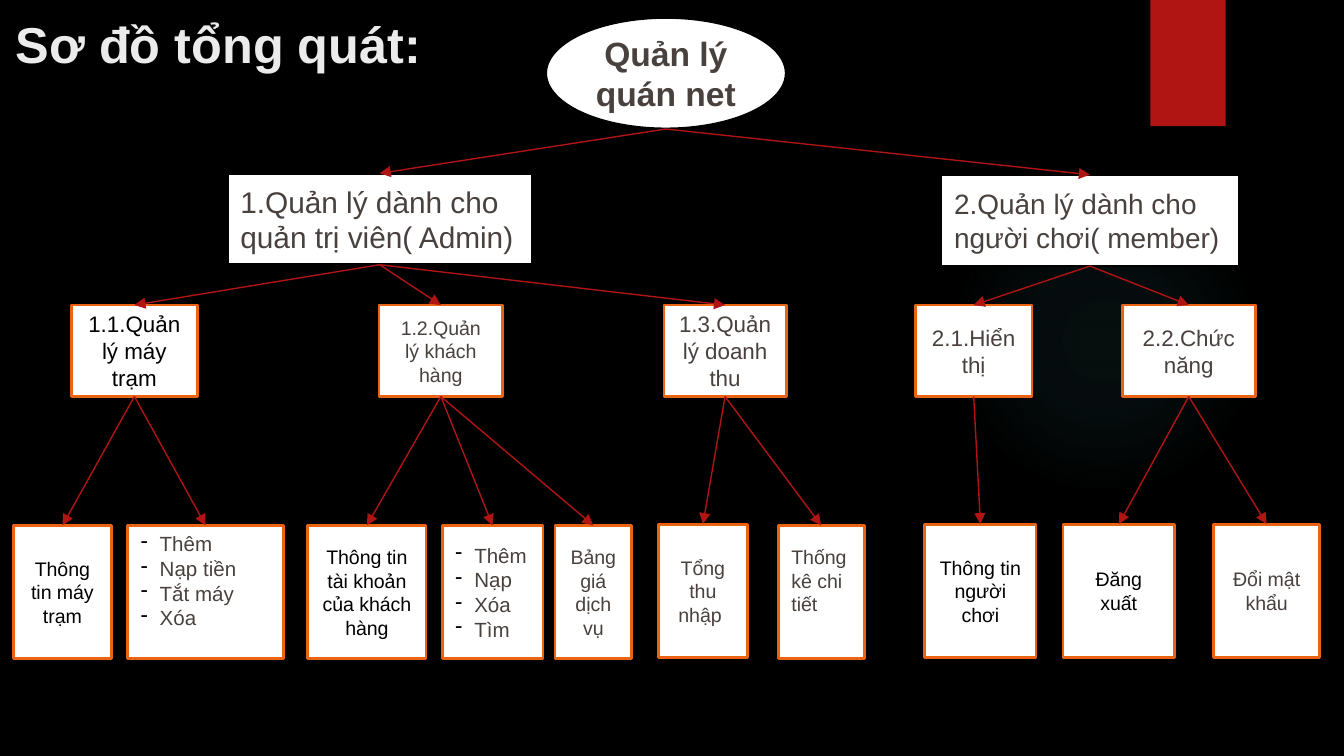
from dataclasses import dataclass

from lxml import etree
from pptx import Presentation
from pptx.dml.color import RGBColor
from pptx.enum.shapes import MSO_CONNECTOR, MSO_SHAPE
from pptx.enum.text import MSO_ANCHOR, PP_ALIGN
from pptx.oxml import parse_xml
from pptx.oxml.ns import nsdecls, qn
from pptx.util import Inches, Pt

RECT, OVAL = MSO_SHAPE.RECTANGLE, MSO_SHAPE.OVAL
STRAIGHT = MSO_CONNECTOR.STRAIGHT
LEFT, CENTER = PP_ALIGN.LEFT, PP_ALIGN.CENTER
MIDDLE = MSO_ANCHOR.MIDDLE

FONT = "Arial"
BLACK, WHITE, GREY = "000000", "FFFFFF", "49413E"
RED, ORANGE, TITLE_COLOR = "B01513", "EA6312", "EBEBEB"
INSET_X, INSET_Y = 0.1, 0.04
BULLET_INDENT = 0.14
BRANCH_TOP, BRANCH_HEIGHT = 2.27, 0.68
LEAF_TOP, LEAF_HEIGHT = 3.91, 0.99


@dataclass
class Node:
    lines: tuple[str, ...]
    left: float
    top: float
    width: float
    height: float
    size: float
    color: str = GREY
    outline: str = ORANGE
    align: PP_ALIGN = CENTER
    bold: bool = False
    preset: MSO_SHAPE = RECT
    bottom_inset: float = INSET_Y
    children: tuple["Node", ...] = ()

    @property
    def middle(self) -> float:
        return self.left + self.width / 2


def branch(label: str, left: float, width: float, *children: Node,
           size: float = 12, color: str = GREY) -> Node:
    return Node((label,), left, BRANCH_TOP, width, BRANCH_HEIGHT, size, color,
                children=children)


def leaf(label: str, left: float, width: float, color: str = GREY,
         top: float = LEAF_TOP, **options) -> Node:
    return Node((label,), left, top, width, LEAF_HEIGHT, 10.5, color, **options)


def action_list(actions: tuple[str, ...], left: float, width: float, **options) -> Node:
    return Node(actions, left, LEAF_TOP, width, LEAF_HEIGHT, 11, align=LEFT, **options)


ADMIN = Node(
    ("1.Quản lý dành cho quản trị viên( Admin)",), 1.69, 1.29, 2.27, 0.68, 16,
    outline=BLACK, align=LEFT, children=(
        branch("1.1.Quản lý máy trạm", 0.53, 0.94,
               leaf("Thông tin máy trạm", 0.1, 0.73, BLACK),
               action_list(("Thêm", "Nạp tiền", "Tắt máy", "Xóa"), 0.95, 1.16,
                           bottom_inset=0.21),
               color=BLACK),
        branch("1.2.Quản lý khách hàng", 2.82, 0.92,
               leaf("Thông tin tài khoản của khách hàng", 2.29, 0.88, BLACK),
               action_list(("Thêm", "Nạp", "Xóa", "Tìm"), 3.29, 0.75),
               leaf("Bảng giá dịch vụ", 4.13, 0.57),
               size=10.5),
        branch("1.3.Quản lý doanh thu", 4.94, 0.91,
               leaf("Tổng thu nhập ", 4.9, 0.66, top=3.9),
               leaf("Thống kê chi tiết", 5.79, 0.64, align=LEFT, bottom_inset=0.21)),
    ))
MEMBER = Node(
    ("2.Quản lý dành cho người chơi( member)",), 7, 1.3, 2.22, 0.68, 15,
    outline=BLACK, align=LEFT, children=(
        branch("2.1.Hiển thị", 6.81, 0.87,
               leaf("Thông tin người chơi", 6.88, 0.83, BLACK, top=3.9)),
        branch("2.2.Chức năng", 8.35, 0.99,
               leaf("Đăng xuất", 7.91, 0.83, BLACK, top=3.9),
               leaf("Đổi mật khẩu", 9.03, 0.79, top=3.9)),
    ))
ROOT = Node(("Quản lý quán net",), 4.06, 0.13, 1.79, 0.83, 18, outline=BLACK,
            bold=True, preset=OVAL, children=(ADMIN, MEMBER))


def rgb(color: str) -> RGBColor:
    return RGBColor.from_string(color)


def add_bullet(paragraph) -> None:
    properties = paragraph._p.get_or_add_pPr()
    properties.set("marL", str(Inches(BULLET_INDENT)))
    properties.set("indent", str(-Inches(BULLET_INDENT)))
    bullet_color = etree.SubElement(properties, qn("a:buClr"))
    etree.SubElement(bullet_color, qn("a:srgbClr"), val=BLACK)
    etree.SubElement(properties, qn("a:buChar"), char="-")


def write_text(shape, lines: tuple[str, ...], size: float, color: str,
               align: PP_ALIGN, bold: bool, bottom_inset: float = INSET_Y) -> None:
    frame = shape.text_frame
    frame.word_wrap = True
    frame.vertical_anchor = MIDDLE
    frame.margin_left = frame.margin_right = Inches(INSET_X)
    frame.margin_top = Inches(INSET_Y)
    frame.margin_bottom = Inches(bottom_inset)
    for index, line in enumerate(lines):
        paragraph = frame.paragraphs[0] if index == 0 else frame.add_paragraph()
        paragraph.text = line
        paragraph.alignment = align
        if len(lines) > 1:
            add_bullet(paragraph)
        font = paragraph.font
        font.name, font.size, font.bold = FONT, Pt(size), bold
        font.color.rgb = rgb(color)


def draw_arrow(slide, parent: Node, child: Node) -> None:
    arrow = slide.shapes.add_connector(
        STRAIGHT, Inches(parent.middle), Inches(parent.top + parent.height),
        Inches(child.middle), Inches(child.top))
    arrow.line.color.rgb = rgb(RED)
    arrow.line.width = Pt(0.75)
    etree.SubElement(arrow.line._get_or_add_ln(), qn("a:tailEnd"), type="triangle")
    etree.SubElement(arrow._element.spPr, qn("a:effectLst"))


def draw_tree(slide, node: Node) -> None:
    box = slide.shapes.add_shape(node.preset, Inches(node.left), Inches(node.top),
                                 Inches(node.width), Inches(node.height))
    box.shadow.inherit = False
    box.fill.solid()
    box.fill.fore_color.rgb = rgb(WHITE)
    box.line.color.rgb = rgb(node.outline)
    box.line.width = Pt(1.5)
    write_text(box, node.lines, node.size, node.color, node.align, node.bold,
               node.bottom_inset)
    for child in node.children:
        draw_tree(slide, child)
        draw_arrow(slide, node, child)


def draw_glow(slide) -> None:
    glow = slide.shapes.add_shape(OVAL, Inches(7.06), Inches(1.38),
                                  Inches(2.31), Inches(2.31))
    glow.shadow.inherit = False
    glow.line.fill.background()
    stops = "".join(
        f'<a:gs pos="{position}000"><a:srgbClr val="50B9C1">'
        f'<a:alpha val="{opacity}000"/></a:srgbClr></a:gs>'
        for position, opacity in ((0, 7), (36, 6), (69, 0)))
    gradient = parse_xml(
        f'<a:gradFill {nsdecls("a")}><a:gsLst>{stops}</a:gsLst><a:path path="circle">'
        '<a:fillToRect l="50000" t="50000" r="50000" b="50000"/></a:path></a:gradFill>')
    glow._element.spPr.find(qn("a:prstGeom")).addnext(gradient)


def draw_ribbon(slide) -> None:
    ribbon = slide.shapes.add_shape(RECT, Inches(8.56), 0, Inches(0.56), Inches(0.94))
    ribbon.shadow.inherit = False
    ribbon.fill.solid()
    ribbon.fill.fore_color.rgb = rgb(RED)
    ribbon.line.fill.background()


def main() -> None:
    deck = Presentation()
    deck.slide_width = Inches(10)
    deck.slide_height = deck.slide_width * 9 // 16
    slide = deck.slides.add_slide(deck.slide_layouts[6])
    slide.background.fill.solid()
    slide.background.fill.fore_color.rgb = rgb(BLACK)
    draw_glow(slide)
    draw_ribbon(slide)
    title = slide.shapes.add_textbox(Inches(0.02), Inches(0.02), Inches(3.24), Inches(0.6))
    write_text(title, ("Sơ đồ tổng quát:",), 27, TITLE_COLOR, LEFT, True)
    draw_tree(slide, ROOT)
    deck.save("out.pptx")


if __name__ == "__main__":
    main()
